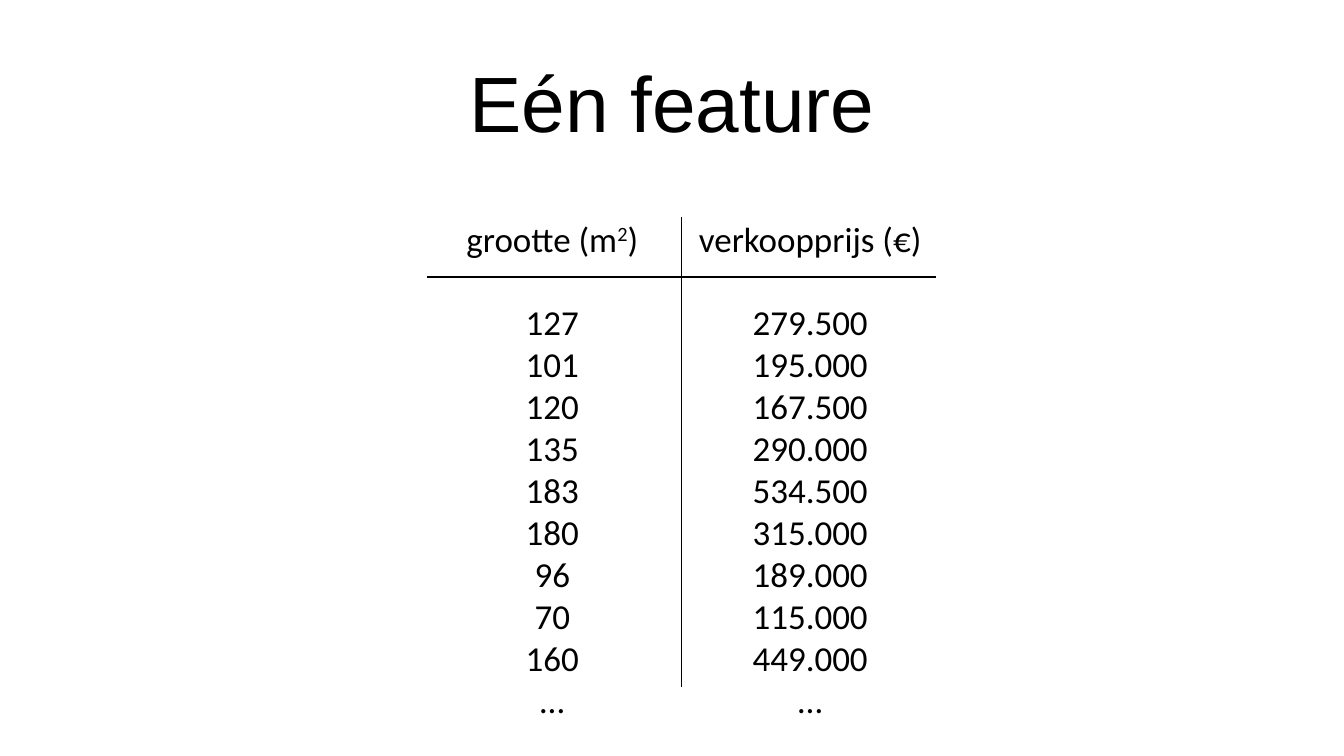
from pptx import Presentation, util as u
from pptx.dml.color import RGBColor
from pptx.enum import shapes, text
from lxml import etree

BLACK = RGBColor(0, 0, 0)
WIDE, HIGH = 26.67, 15
PAD = 0.08
SPREAD = 2.56
HEAD = 0.86
BODY_TOP, BODY = 1.52, 8.61
RULE = 1.2
NS = "http://schemas.openxmlformats.org/drawingml/2006/main"
COLS = [
    ("grootte (m²)", 3.61, 1.23,
     ["127", "101", "120", "135", "183", "180", "96", "70", "160", "…"]),
    ("verkoopprijs (€)", 4.59, 2.46,
     ["279.500", "195.000", "167.500", "290.000", "534.500",
      "315.000", "189.000", "115.000", "449.000", "…"]),
]


def put(item, vals):
    for key, val in vals.items():
        setattr(item, key, val)


def add_run(para, words, size, face):
    run = para.add_run()
    run.text = words
    put(run.font, {"size": u.Pt(size), "name": face})
    run.font.color.rgb = BLACK
    return run


def add_text(slide, box, lines, size, face, wrap=False):
    frame = slide.shapes.add_textbox(*map(u.Inches, box)).text_frame
    put(frame, {
        "word_wrap": wrap,
        "vertical_anchor": text.MSO_ANCHOR.MIDDLE,
        "auto_size": text.MSO_AUTO_SIZE.NONE if wrap
        else text.MSO_AUTO_SIZE.SHAPE_TO_FIT_TEXT,
    })
    put(frame, {f"margin_{side}": u.Inches(PAD)
                for side in ("left", "top", "right", "bottom")})
    for i, line in enumerate(lines):
        para = frame.add_paragraph() if i else frame.paragraphs[0]
        para.alignment = text.PP_ALIGN.CENTER
        start, mark, end = line.partition("²")
        add_run(para, start, size, face)
        if mark:
            power = add_run(para, "2", size, face)
            power.font._element.set("baseline", "32000")
            add_run(para, end, size, face)


def add_line(slide, *ends):
    line = slide.shapes.add_connector(
        shapes.MSO_CONNECTOR.STRAIGHT, *map(u.Inches, ends))
    line.line.color.rgb = BLACK
    line.line.width = u.Pt(2)
    etree.SubElement(line._element.spPr, f"{{{NS}}}effectLst")


def add_title(slide, box):
    add_text(slide, box, ["Eén feature"], 112, "Arial", True)


def add_data(slide, box):
    left, top, wide, high = box
    mid = left + wide / 2
    add_line(slide, mid, top + high, mid, top)
    add_line(slide, left, top + RULE, left + wide, top + RULE)
    for side, (head, head_w, body_w, vals) in zip((-1, 1), COLS):
        axis = mid + side * SPREAD
        for lines, width, drop, tall in (
                ([head], head_w, 0, HEAD), (vals, body_w, BODY_TOP, BODY)):
            area = (axis - width / 2, top + drop, width, tall)
            add_text(slide, area, lines, 50, "Calibri")


def main():
    deck = Presentation()
    put(deck, {"slide_width": u.Inches(WIDE), "slide_height": u.Inches(HIGH)})
    slide = deck.slides.add_slide(deck.slide_layouts[6])
    add_data(slide, (8.47, 4.3, 10.1, 9.33))
    add_title(slide, (WIDE * 0.18, 0.34, WIDE * 0.64, 3.32))
    deck.save("out.pptx")


if __name__ == "__main__":
    main()
